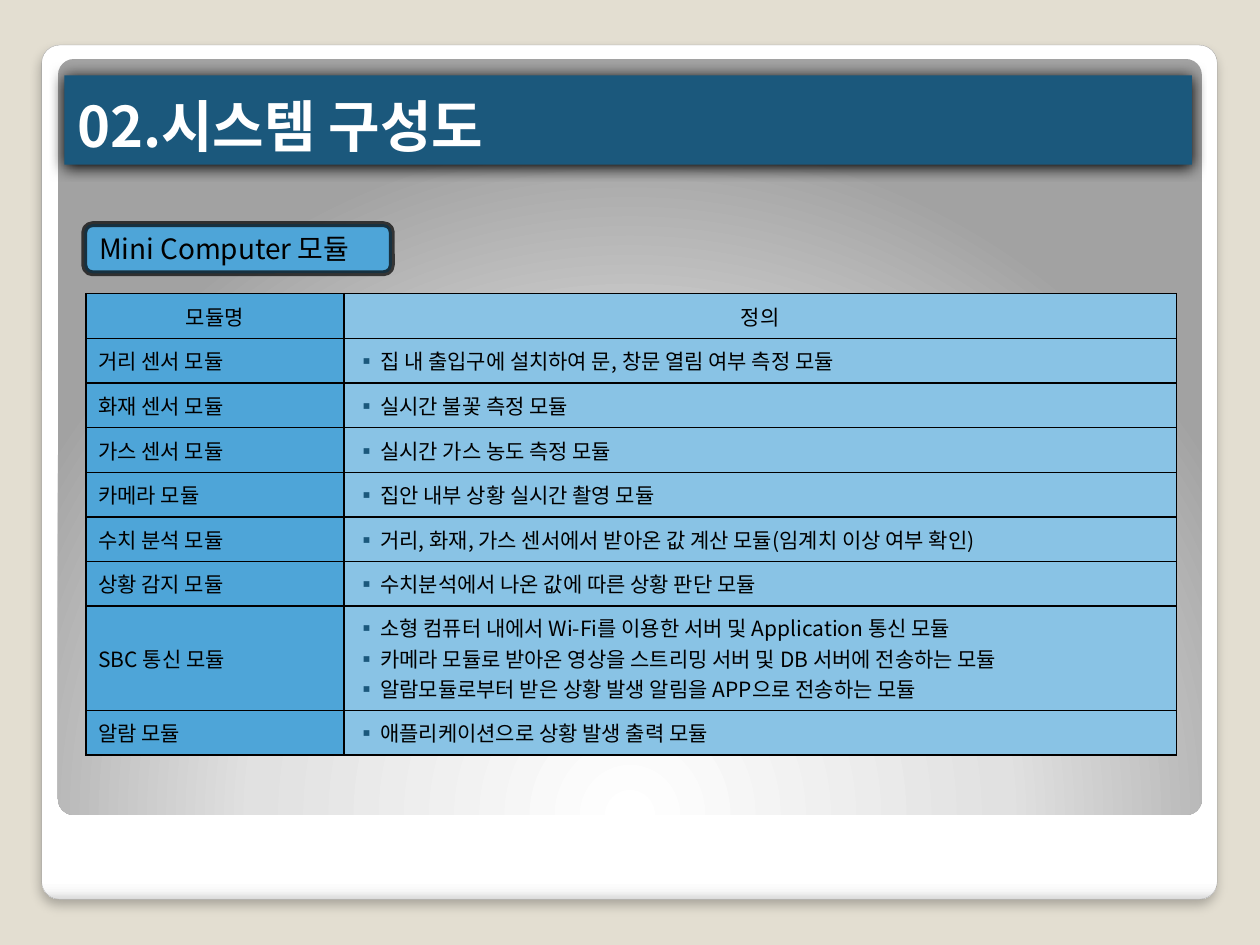
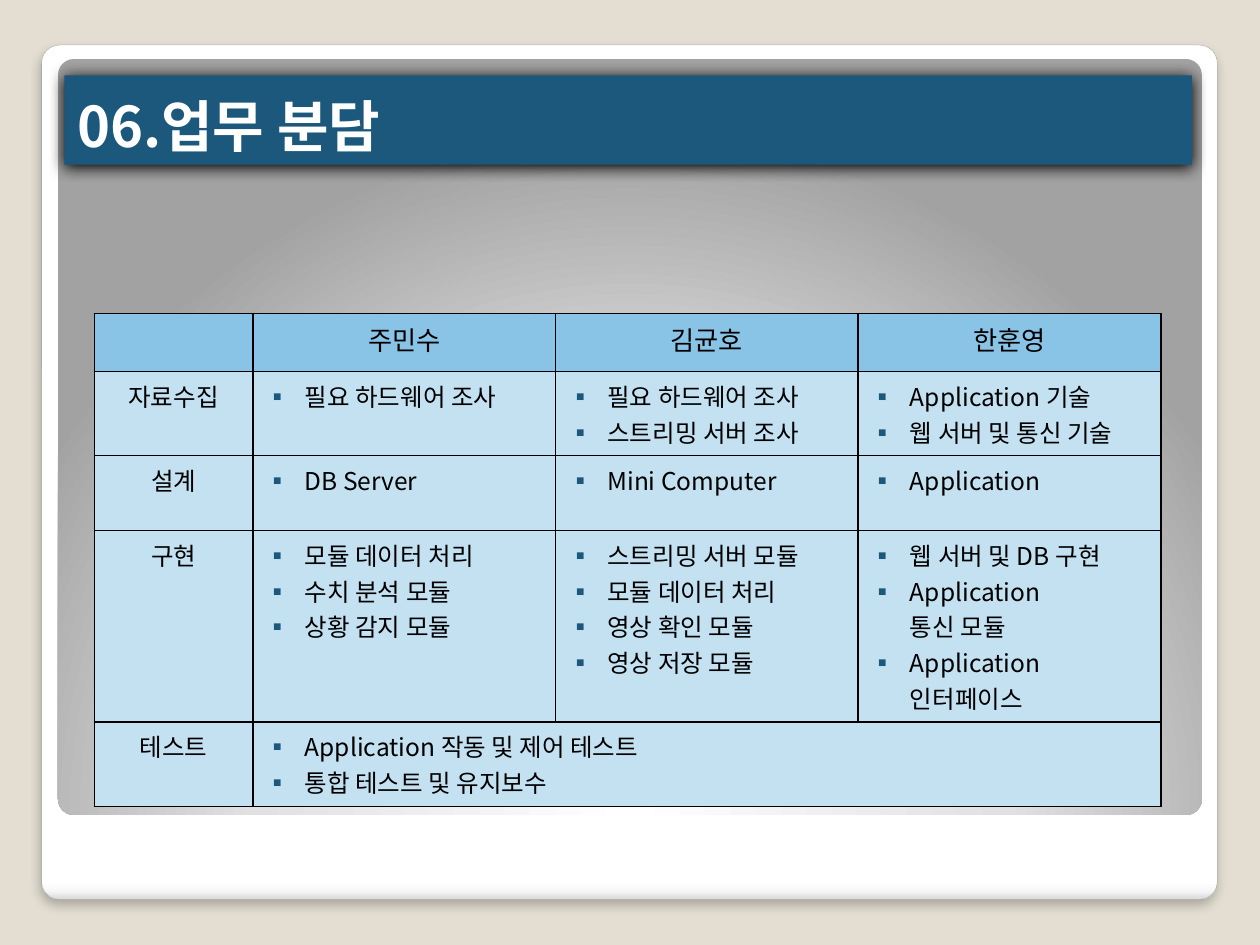
"""Build two project slides: the system modules and the division of work."""
from lxml import etree
from pptx import Presentation
from pptx.dml.color import RGBColor
from pptx.enum.shapes import MSO_SHAPE
from pptx.enum.text import MSO_ANCHOR, MSO_AUTO_SIZE, PP_ALIGN
from pptx.oxml.ns import qn
from pptx.util import Cm, Pt

ROUNDED = MSO_SHAPE.ROUNDED_RECTANGLE
TOP, MIDDLE, BOTTOM = MSO_ANCHOR.TOP, MSO_ANCHOR.MIDDLE, MSO_ANCHOR.BOTTOM
LEFT, CENTER = PP_ALIGN.LEFT, PP_ALIGN.CENTER
NO_AUTOFIT = MSO_AUTO_SIZE.NONE

FONT = "Noto Sans CJK KR"
BEIGE = RGBColor(0xE3, 0xDE, 0xD1)
WHITE = RGBColor(0xFF, 0xFF, 0xFF)
BLACK = RGBColor(0x00, 0x00, 0x00)
GRAY = RGBColor(0xA4, 0xA4, 0xA4)
NAVY = RGBColor(0x1B, 0x58, 0x7C)
BLUE = RGBColor(0x4E, 0xA5, 0xD8)
LIGHT_BLUE = RGBColor(0x89, 0xC3, 0xE5)
PALE_BLUE = RGBColor(0xC4, 0xE1, 0xF2)

FRAME_STOPS = [(0, "FFFFFF"), (98, "FFFFFF"), (99, "F7F7F7"), (100, "DADADA")]
PANEL_STOPS = [(0, "FFFFFF"), (55, "E1E1E1"), (100, "A2A2A2")]

MODULES = [
    ("거리 센서 모듈", ["집 내 출입구에 설치하여 문, 창문 열림 여부 측정 모듈"]),
    ("화재 센서 모듈", ["실시간 불꽃 측정 모듈"]),
    ("가스 센서 모듈", ["실시간 가스 농도 측정 모듈"]),
    ("카메라 모듈", ["집안 내부 상황 실시간 촬영 모듈"]),
    ("수치 분석 모듈", ["거리, 화재, 가스 센서에서 받아온 값 계산 모듈(임계치 이상 여부 확인)"]),
    ("상황 감지 모듈", ["수치분석에서 나온 값에 따른 상황 판단 모듈"]),
    ("SBC 통신 모듈", [
        "소형 컴퓨터 내에서 Wi-Fi를 이용한 서버 및 Application 통신 모듈",
        "카메라 모듈로 받아온 영상을 스트리밍 서버 및 DB 서버에 전송하는 모듈",
        "알람모듈로부터 받은 상황 발생 알림을 APP으로 전송하는 모듈",
    ]),
    ("알람 모듈", ["애플리케이션으로 상황 발생 출력 모듈"]),
]
MEMBERS = ["주민수", "김균호", "한훈영"]
TASKS = [
    ("자료수집", ["필요 하드웨어 조사"],
     ["필요 하드웨어 조사", "스트리밍 서버 조사"],
     ["Application 기술", "웹 서버 및 통신 기술"]),
    ("설계", ["DB Server"], ["Mini Computer"], ["Application"]),
    ("구현", ["모듈 데이터 처리", "수치 분석 모듈", "상황 감지 모듈"],
     ["스트리밍 서버 모듈", "모듈 데이터 처리", "영상 확인 모듈", "영상 저장 모듈"],
     ["웹 서버 및 DB 구현", ("Application", "통신 모듈"),
      ("Application", "인터페이스")]),
    ("테스트", ["Application 작동 및 제어 테스트", "통합 테스트 및 유지보수"]),
]


def add_xml(parent, tag, **attributes):
    """Append a child element with the given attributes."""
    values = {name: str(value) for name, value in attributes.items()}
    return etree.SubElement(parent, qn(tag), values)


class Deck:
    """Hold the shared style and the current slide."""

    def __init__(self):
        """Start an empty presentation with a plain background."""
        self.presentation = Presentation()
        self.presentation.slide_width = Cm(25.4)
        self.presentation.slide_height = Cm(19.05)
        background = self.presentation.slide_master.background.fill
        background.solid()
        background.fore_color.rgb = BEIGE
        self.slide = None

    def add_slide(self, title):
        """Add a slide with the frame, the panel and the title band."""
        layout = self.presentation.slide_layouts[5]
        self.slide = self.presentation.slides.add_slide(layout)
        frame = self.add_rounded(0.84, 0.91, 23.7, 17.22, 0.021)
        frame.line.color.rgb = GRAY
        frame.line.width = Pt(0.16)
        gradient = self.set_gradient(frame, FRAME_STOPS)
        add_xml(gradient, "a:lin", ang=5400000, scaled=0)
        self.set_shadow(frame, alpha=25, blur=6, distance=4)
        panel = self.add_rounded(1.17, 1.19, 23.06, 15.24, 0.021)
        panel.line.fill.background()
        gradient = self.set_gradient(panel, PANEL_STOPS)
        circle = add_xml(gradient, "a:path", path="circle")
        add_xml(circle, "a:fillToRect", l=50000, t=175000, r=50000, b=-75000)
        self.add_title(title)

    def add_title(self, text):
        """Turn the title placeholder into the band above the panel."""
        band = self.slide.shapes.title
        band.element.getparent().append(band.element)
        box = {"left": 1.3, "top": 1.52, "width": 22.73, "height": 1.8}
        for name, value in box.items():
            setattr(band, name, Cm(value))
        band.fill.solid()
        band.fill.fore_color.rgb = NAVY
        self.set_shadow(band, alpha=100, blur=8.5, distance=1)
        band.text_frame.auto_size = NO_AUTOFIT
        band.text_frame.vertical_anchor = BOTTOM
        self.add_text(band.text_frame.paragraphs[0], text, 32, color=WHITE, bold=True)

    def add_rounded(self, left, top, width, height, radius):
        """Add a rounded rectangle without a shadow."""
        shape = self.slide.shapes.add_shape(
            ROUNDED, Cm(left), Cm(top), Cm(width), Cm(height))
        shape.adjustments[0] = radius
        shape.shadow.inherit = False
        return shape

    def add_label(self, text, left, top, width, height):
        """Add a rounded label with a translucent outline."""
        label = self.add_rounded(left, top, width, height, 0.167)
        label.fill.solid()
        label.fill.fore_color.rgb = BLUE
        label.line.color.rgb = BLACK
        label.line.width = Pt(3.35)
        outline = label.element.spPr.find(qn("a:ln"))
        add_xml(outline.find(".//" + qn("a:srgbClr")), "a:alpha", val=70000)
        label.text_frame.word_wrap = True
        label.text_frame.vertical_anchor = MIDDLE
        self.add_text(label.text_frame.paragraphs[0], text, 16)

    def add_table(self, left, top, widths, heights):
        """Add an unstyled table with the given column widths and row heights."""
        table = self.slide.shapes.add_table(
            len(heights), len(widths), Cm(left), Cm(top),
            Cm(sum(widths)), Cm(sum(heights))).table
        table.first_row = table.horz_banding = False
        for column, width in zip(table.columns, widths):
            column.width = Cm(width)
        for row, height in zip(table.rows, heights):
            row.height = Cm(height)
        return table

    def fill_cell(self, cell, content, color, size, align=LEFT, anchor=TOP, indent=0):
        """Style a cell and add a text or a list of bulleted lines."""
        cell.vertical_anchor = anchor
        properties = cell._tc.get_or_add_tcPr()
        for side in "LRTB":
            border = add_xml(properties, "a:ln" + side, w=Pt(1))
            add_xml(add_xml(border, "a:solidFill"), "a:srgbClr", val=BLACK)
        cell.fill.solid()
        cell.fill.fore_color.rgb = color
        paragraph = cell.text_frame.paragraphs[0]
        if isinstance(content, str):
            if content:
                self.add_text(paragraph, content, size, align)
            return
        for item in content:
            lines = (item,) if isinstance(item, str) else item
            for position, line in enumerate(lines):
                if paragraph.runs:
                    paragraph = cell.text_frame.add_paragraph()
                self.add_text(paragraph, line, size)
                self.set_indent(paragraph, indent, bulleted=position == 0)

    def add_text(self, paragraph, text, size, align=LEFT, color=BLACK, bold=False):
        """Add one formatted run to a paragraph."""
        paragraph.alignment = align
        run = paragraph.add_run()
        run.text = text
        formats = {"name": FONT, "size": Pt(size), "bold": bold}
        for name, value in formats.items():
            setattr(run.font, name, value)
        run.font.color.rgb = color
        add_xml(run._r.get_or_add_rPr(), "a:ea", typeface=FONT)

    def set_indent(self, paragraph, indent, bulleted):
        """Indent a paragraph, with a hanging square bullet if asked."""
        properties = paragraph._p.get_or_add_pPr()
        properties.set("marL", str(Cm(indent)))
        if bulleted:
            properties.set("indent", str(-Cm(indent)))
            add_xml(add_xml(properties, "a:buClr"), "a:srgbClr", val=NAVY)
            add_xml(properties, "a:buFont", typeface=FONT)
            add_xml(properties, "a:buChar", char="▪")

    def set_gradient(self, shape, stops):
        """Fill a shape with gradient stops and return the fill element."""
        shape.fill.gradient()
        gradient = shape.element.spPr.find(qn("a:gradFill"))
        gradient.clear()
        stop_list = add_xml(gradient, "a:gsLst")
        for position, color in stops:
            stop = add_xml(stop_list, "a:gs", pos=position * 1000)
            add_xml(stop, "a:srgbClr", val=color)
        return gradient

    def set_shadow(self, shape, alpha, blur, distance):
        """Give a shape a black shadow that falls downwards."""
        shape.shadow.inherit = False
        effects = shape.element.spPr.find(qn("a:effectLst"))
        shadow = add_xml(effects, "a:outerShdw", blurRad=Pt(blur),
                         dist=Pt(distance), dir=5400000, rotWithShape=0)
        color = add_xml(shadow, "a:srgbClr", val=BLACK)
        add_xml(color, "a:alpha", val=alpha * 1000)


def add_module_slide(deck):
    """Add the slide that defines each module."""
    deck.add_slide("02.시스템 구성도")
    heights = [0.9] + [2.1 if len(lines) > 1 else 0.9 for _, lines in MODULES]
    table = deck.add_table(1.73, 5.92, [5.2, 16.79], heights)
    for column, (heading, color) in enumerate([("모듈명", BLUE), ("정의", LIGHT_BLUE)]):
        deck.fill_cell(table.cell(0, column), heading, color, 12, CENTER, MIDDLE)
    for row, (module, definitions) in enumerate(MODULES, 1):
        deck.fill_cell(table.cell(row, 0), module, BLUE, 12, anchor=MIDDLE)
        deck.fill_cell(table.cell(row, 1), definitions, LIGHT_BLUE, 12,
                       anchor=MIDDLE, indent=0.48)
    deck.add_label("Mini Computer 모듈", 1.7, 4.52, 6.2, 0.99)


def add_task_slide(deck):
    """Add the slide that shares the work among the members."""
    deck.add_slide("06.업무 분담")
    table = deck.add_table(1.9, 6.32, [3.2] + [6.1] * len(MEMBERS),
                           [1.17, 1.69, 1.51, 3.85, 1.71])
    for column, member in enumerate(["", *MEMBERS]):
        deck.fill_cell(table.cell(0, column), member, LIGHT_BLUE, 15, CENTER)
    for row, (stage, *duties) in enumerate(TASKS, 1):
        deck.fill_cell(table.cell(row, 0), stage, PALE_BLUE, 14, CENTER)
        if len(duties) == 1:
            table.cell(row, 1).merge(table.cell(row, len(MEMBERS)))
        for column in range(1, len(MEMBERS) + 1):
            lines = duties[column - 1] if column <= len(duties) else ""
            deck.fill_cell(table.cell(row, column), lines, PALE_BLUE, 14, indent=0.79)


def main():
    """Build and save both slides."""
    deck = Deck()
    add_module_slide(deck)
    add_task_slide(deck)
    deck.presentation.save("out.pptx")


if __name__ == "__main__":
    main()
